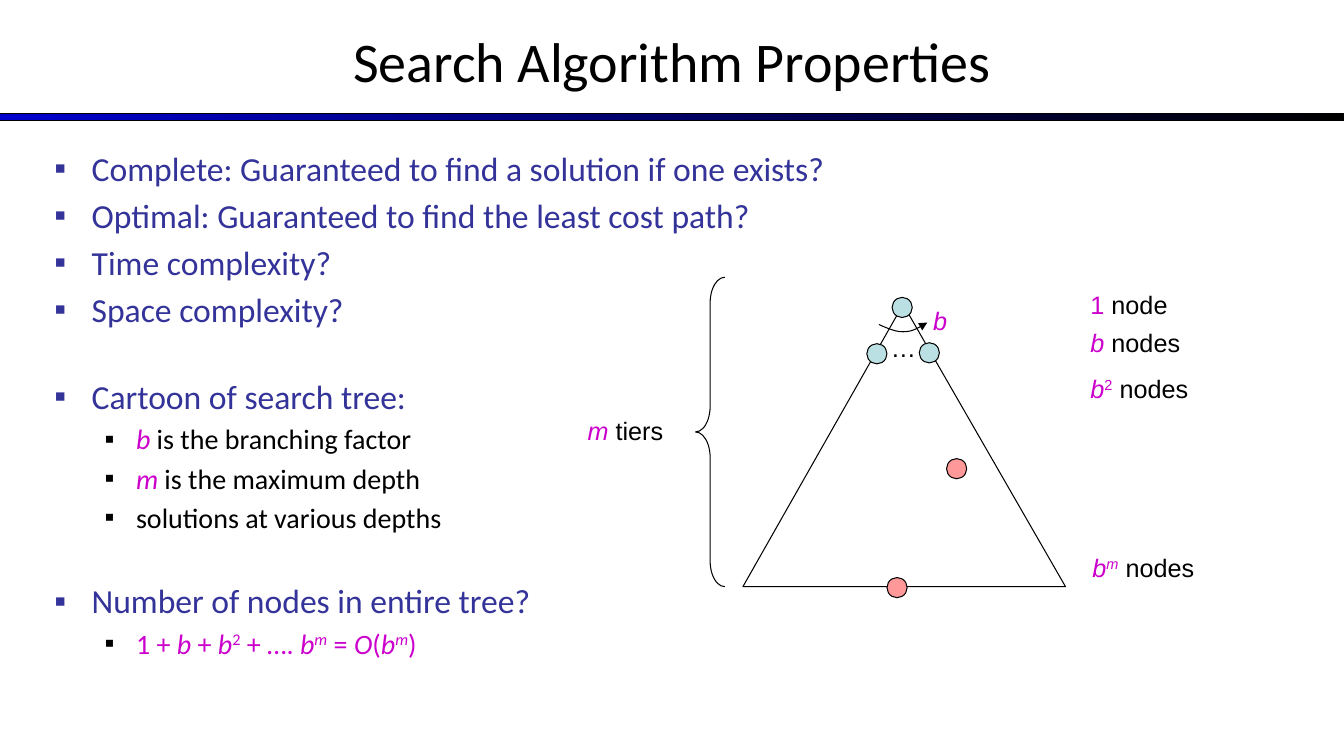
from dataclasses import dataclass

from lxml import etree
from pptx import Presentation
from pptx.dml.color import RGBColor
from pptx.enum.shapes import MSO_SHAPE
from pptx.enum.text import MSO_ANCHOR, PP_ALIGN
from pptx.oxml.ns import qn
from pptx.util import Inches, Pt

RECT, OVAL, BRACE = MSO_SHAPE.RECTANGLE, MSO_SHAPE.OVAL, MSO_SHAPE.LEFT_BRACE
MIDDLE, CENTER, LEFT = MSO_ANCHOR.MIDDLE, PP_ALIGN.CENTER, PP_ALIGN.LEFT
TITLE_ONLY = 5
WIDTH, HEIGHT = Inches(13.333), Inches(7.5)


@dataclass(frozen=True)
class Theme:
    heading_font: str = "Calibri"
    label_font: str = "Arial"
    ink: str = "000000"
    topic: str = "333399"
    variable: str = "CC00CC"
    bar: str = "0000CC"
    node: str = "BBE0E3"
    solution: str = "FF9999"
    title_size: int = 40
    topic_size: int = 24
    detail_size: int = 20
    label_size: int = 18
    line_width: float = 0.75


THEME = Theme()

# Run styles: v = variable colour, i = italic, s = superscript
B, M = ("b", "vi"), ("m", "vi")
SQUARED, TO_THE_M = ("2", "vs"), ("m", "vis")

# Level, runs, and whether a gap separates the item from the one above
OUTLINE = [
    (0, [("Complete: Guaranteed to find a solution if one exists?", "")], False),
    (0, [("Optimal: Guaranteed to find the least cost path?", "")], False),
    (0, [("Time complexity?", "")], False),
    (0, [("Space complexity?", "")], False),
    (0, [("Cartoon of search tree:", "")], True),
    (1, [B, (" is the branching factor", "")], False),
    (1, [M, (" is the maximum depth", "")], False),
    (1, [("solutions at various depths", "")], False),
    (0, [("Number of nodes in entire tree?", "")], True),
    (1, [("1 + ", "v"), B, (" + ", "v"), B, SQUARED, (" + …. ", "v"), B, TO_THE_M,
         (" = ", "v"), ("O", "vi"), ("(", "v"), B, TO_THE_M, (")", "v")], False),
]

# Left, top, width in percent of the slide, and runs
LABELS = [
    (65.55, 43.33, 2.25, [("…", "")]),
    (68.7, 39.73, 2.48, [B]),
    (80.4, 37.6, 9.15, [("1", "v"), (" node", "")]),
    (80.4, 42.67, 9.15, [B, (" nodes", "")]),
    (80.4, 48.67, 9.15, [B, SQUARED, (" nodes", "")]),
    (80.55, 72.4, 12, [B, TO_THE_M, (" nodes", "")]),
    (42.98, 54.27, 10.35, [M, (" tiers", "")]),
]
LABEL_HEIGHT = 5.33

TREE_CORNERS = [(55.28, 77.6), (79.28, 77.6), (67.2, 40.27)]
TREE_NODES = [(67.13, 40.67), (65.25, 46.8), (69.15, 46.67)]
SOLUTIONS = [(66.75, 77.73), (71.18, 62)]
NODE_SIZE = 1.5
BRANCH_ARC = [
    [(65.4, 42.93), (66.08, 43.47), (66.75, 44), (67.35, 43.87)],
    [(67.35, 43.87), (67.95, 43.87), (68.48, 43.2), (69, 42.67)],
]
ARC_STEPS = 12


def across(percent):
    return round(WIDTH * percent / 100)


def down(percent):
    return round(HEIGHT * percent / 100)


def box(left, top, width, height):
    return across(left), down(top), across(width), down(height)


def rgb(color):
    return RGBColor.from_string(color)


def add_runs(p, runs, font, size, color):
    for text, style in runs:
        r = p.add_run()
        r.text = text
        r.font.name, r.font.size = font, Pt(size)
        r.font.color.rgb = rgb(THEME.variable if "v" in style else color)
        if "i" in style:
            r.font.italic = True
        if "s" in style:
            r.font._element.set("baseline", "30000")


def outline_shape(sp, fill=None):
    """Give a shape the thin dark line and a plain fill, or none."""
    sp.shadow.inherit = False
    sp.line.color.rgb = rgb(THEME.ink)
    sp.line.width = Pt(THEME.line_width)
    if fill:
        sp.fill.solid()
        sp.fill.fore_color.rgb = rgb(fill)
    else:
        sp.fill.background()


def add_title(s, text):
    sp = s.shapes.title
    sp.left, sp.top, sp.width, sp.height = box(0, -0.4, 100, 16.67)
    tf = sp.text_frame
    tf.vertical_anchor = MIDDLE
    p = tf.paragraphs[0]
    p.alignment = CENTER
    add_runs(p, [(text, "")], THEME.heading_font, THEME.title_size, THEME.ink)


def add_bar(s):
    sp = s.shapes.add_shape(RECT, *box(0, 15.07, 100, 0.93))
    outline_shape(sp)
    sp.fill.gradient()
    sp.fill.gradient_angle = 0
    for stop, color in zip(sp.fill.gradient_stops, (THEME.bar, THEME.ink)):
        stop.color.rgb = rgb(color)


def add_text_box(s, left, top, width, height):
    tf = s.shapes.add_textbox(*box(left, top, width, height)).text_frame
    tf.word_wrap = True
    return tf


def set_bullet(p, color, margin, hanging):
    pPr = p._p.get_or_add_pPr()
    pPr.set("marL", str(across(margin)))
    pPr.set("indent", str(-across(hanging)))
    bullet_color = etree.SubElement(pPr, qn("a:buClr"))
    etree.SubElement(bullet_color, qn("a:srgbClr"), val=color)
    etree.SubElement(pPr, qn("a:buFont"), typeface=THEME.label_font)
    etree.SubElement(pPr, qn("a:buChar"), char="▪")


def add_outline(s):
    tf = add_text_box(s, 3.3, 18.93, 93.3, 68.93)
    levels = [(THEME.topic_size, THEME.topic, 2.78, 2.78),
              (THEME.detail_size, THEME.ink, 6.08, 2.33)]
    gap = 1.42 * THEME.detail_size
    for i, (level, runs, gap_above) in enumerate(OUTLINE):
        size, color, margin, hanging = levels[level]
        p = tf.add_paragraph() if i else tf.paragraphs[0]
        p.level, p.alignment = level, LEFT
        if i:
            p.space_before = Pt(0.2 * size + (gap if gap_above else 0))
        set_bullet(p, color, margin, hanging)
        add_runs(p, runs, THEME.heading_font, size, color)


def add_label(s, left, top, width, runs):
    tf = add_text_box(s, left, top, width, LABEL_HEIGHT)
    add_runs(tf.paragraphs[0], runs, THEME.label_font, THEME.label_size, THEME.ink)


def add_path(s, points, close):
    points = [(across(x), down(y)) for x, y in points]
    builder = s.shapes.build_freeform(*points[0])
    builder.add_line_segments(points[1:], close=close)
    sp = builder.convert_to_shape()
    outline_shape(sp)
    return sp


def bezier(controls, t):
    weights = ((1 - t) ** 3, 3 * t * (1 - t) ** 2, 3 * t ** 2 * (1 - t), t ** 3)
    return tuple(sum(w * c[axis] for w, c in zip(weights, controls)) for axis in (0, 1))


def add_branch_arrow(s):
    points = [bezier(arc, i / ARC_STEPS) for arc in BRANCH_ARC for i in range(ARC_STEPS)]
    sp = add_path(s, points + [BRANCH_ARC[-1][-1]], close=False)
    etree.SubElement(sp.line._get_or_add_ln(), qn("a:tailEnd"), type="triangle")


def add_node(s, center, color):
    x, y = center
    size = across(NODE_SIZE)
    sp = s.shapes.add_shape(OVAL, across(x) - size // 2, down(y) - size // 2, size, size)
    outline_shape(sp, color)


def add_brace(s):
    sp = s.shapes.add_shape(BRACE, *box(51.75, 36.67, 2.18, 40.93))
    sp.adjustments[0], sp.adjustments[1] = 0.88, 0.5
    outline_shape(sp)


def main():
    prs = Presentation()
    prs.slide_width, prs.slide_height = WIDTH, HEIGHT
    s = prs.slides.add_slide(prs.slide_layouts[TITLE_ONLY])
    add_bar(s)
    add_title(s, "Search Algorithm Properties")
    add_outline(s)
    add_path(s, TREE_CORNERS, close=True)
    for color, centers in ((THEME.node, TREE_NODES), (THEME.solution, SOLUTIONS)):
        for center in centers:
            add_node(s, center, color)
    add_branch_arrow(s)
    add_brace(s)
    for label in LABELS:
        add_label(s, *label)
    prs.save("out.pptx")


if __name__ == "__main__":
    main()
